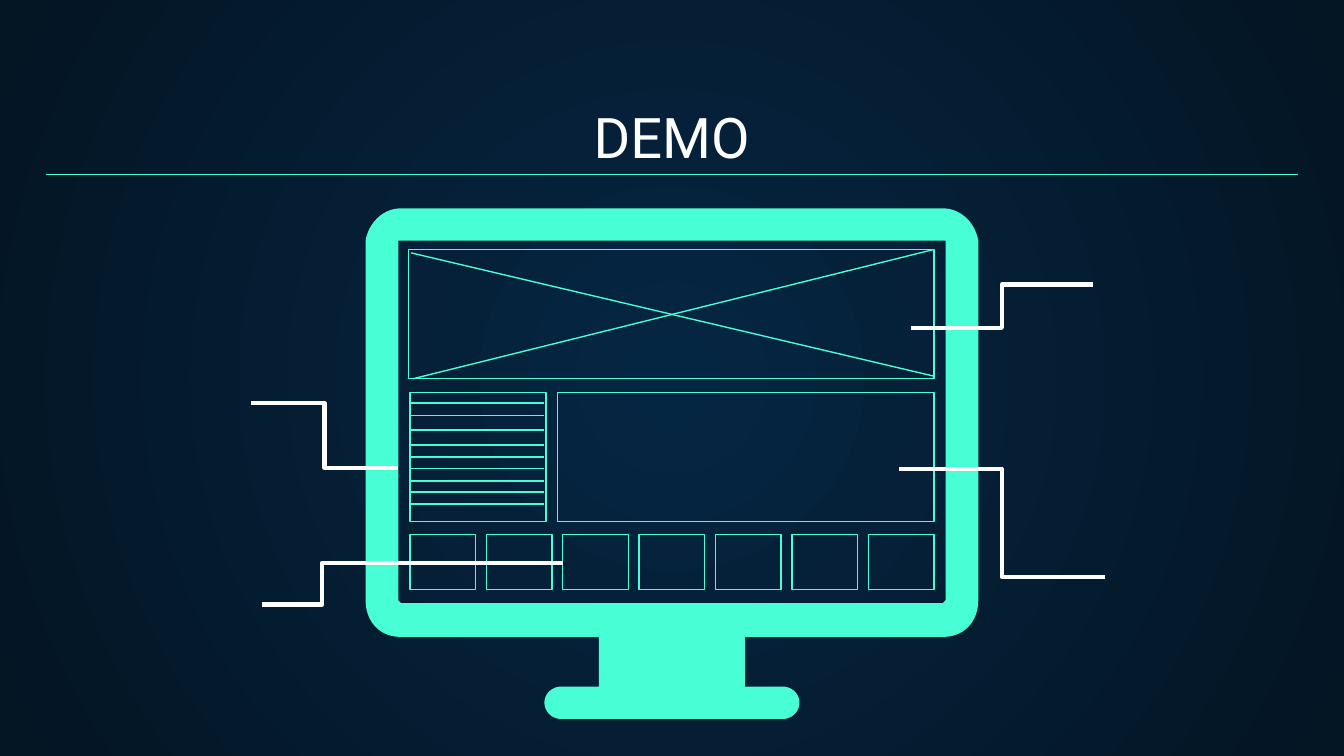
from dataclasses import dataclass

from lxml.etree import SubElement
from pptx import Presentation
from pptx.dml.color import RGBColor
from pptx.enum.shapes import MSO_CONNECTOR, MSO_SHAPE
from pptx.enum.text import MSO_ANCHOR, PP_ALIGN
from pptx.oxml.ns import qn
from pptx.util import Cm, Pt

COLORS = {"mint": "48FFD5", "white": "FFFFFF", "center": "052643", "edge": "041523"}
MIDDLE = 12.7
Point = tuple[float, float]


@dataclass(frozen=True)
class Panel:
    left: float
    top: float
    width: float
    height: float


@dataclass(frozen=True)
class Stroke:
    begin: Point
    end: Point
    color: str = "mint"
    weight: float = 0.75
    bend: float | None = None


def color_of(name: str) -> RGBColor:
    return RGBColor.from_string(COLORS[name])


def paint_background(page) -> None:
    fill = page.background.fill
    fill.gradient()
    for stop, name in zip(fill.gradient_stops, ("center", "edge")):
        stop.color.rgb = color_of(name)
    gradient = page.element.find(".//" + qn("a:gradFill"))
    gradient.remove(gradient.find(qn("a:lin")))
    circle = SubElement(gradient, qn("a:path"), {"path": "circle"})
    sides = {side: "50000" for side in "ltrb"}
    SubElement(circle, qn("a:fillToRect"), sides)


def draw_title(page, text: str) -> None:
    box = page.shapes.add_textbox(Cm(0.86), Cm(1.78), Cm(23.67), Cm(1.68))
    frame = box.text_frame
    frame.word_wrap = True
    frame.vertical_anchor = MSO_ANCHOR.BOTTOM
    frame.margin_left = frame.margin_right = Cm(0.25)
    frame.margin_top = frame.margin_bottom = Cm(0.25)
    frame.text = text
    para = frame.paragraphs[0]
    para.alignment = PP_ALIGN.CENTER
    span = para.runs[0]
    span.font.name = "Roboto"
    span.font.size = Pt(30)
    span.font.color.rgb = color_of("white")


def curve(start: Point, first: Point, second: Point, end: Point) -> list[Point]:
    steps = 12
    points = []
    for step in range(steps + 1):
        t = step / steps
        weights = ((1 - t) ** 3, 3 * t * (1 - t) ** 2, 3 * t**2 * (1 - t), t**3)
        controls = (start, first, second, end)
        points.append(tuple(sum(w * c[axis] for w, c in zip(weights, controls)) for axis in (0, 1)))
    return points


def mirrored(half: list[Point]) -> list[tuple[Cm, Cm]]:
    right = [(Cm(MIDDLE + x), Cm(y)) for x, y in half]
    left = [(Cm(MIDDLE - x), Cm(y)) for x, y in reversed(half)]
    return right + left


def draw_monitor(page) -> None:
    outline = mirrored(
        curve((5.16, 3.94), (5.49, 3.96), (5.74, 4.24), (5.79, 4.55))
        + curve((5.79, 11.35), (5.79, 11.73), (5.54, 12.04), (5.13, 12.04))
        + [(1.38, 12.04), (1.38, 12.98)]
        + curve((2.1, 12.98), (2.27, 12.98), (2.41, 13.12), (2.41, 13.28))
        + curve((2.41, 13.28), (2.41, 13.45), (2.27, 13.59), (2.1, 13.59))
    )
    screen = mirrored([(5.17, 4.55), (5.17, 11.35), (5.12, 11.4)])
    builder = page.shapes.build_freeform(*outline[0])
    builder.add_line_segments(outline[1:], close=True)
    builder.move_to(*screen[0])
    builder.add_line_segments(screen[1:], close=True)
    monitor = builder.convert_to_shape()
    monitor.shadow.inherit = False
    monitor.fill.solid()
    monitor.fill.fore_color.rgb = color_of("mint")
    monitor.line.fill.background()


def draw_panel(page, panel: Panel) -> None:
    shape = page.shapes.add_shape(
        MSO_SHAPE.RECTANGLE, Cm(panel.left), Cm(panel.top), Cm(panel.width), Cm(panel.height)
    )
    shape.shadow.inherit = False
    shape.fill.background()
    shape.line.color.rgb = color_of("mint")
    shape.line.width = Pt(0.75)


def draw_stroke(page, stroke: Stroke) -> None:
    kind = MSO_CONNECTOR.STRAIGHT if stroke.bend is None else MSO_CONNECTOR.ELBOW
    ends = [Cm(value) for value in stroke.begin + stroke.end]
    connector = page.shapes.add_connector(kind, *ends)
    connector.line.color.rgb = color_of(stroke.color)
    connector.line.width = Pt(stroke.weight)
    properties = connector.element.spPr
    SubElement(properties, qn("a:effectLst"))
    if stroke.bend is not None:
        guides = properties.find(qn("a:prstGeom")).get_or_add_avLst()
        formula = f"val {round(stroke.bend * 100000)}"
        SubElement(guides, qn("a:gd"), {"name": "adj1", "fmla": formula})


def callout(begin: Point, end: Point, bend: float = 0.5) -> Stroke:
    return Stroke(begin, end, "white", 2.25, bend)


banner = Panel(7.72, 4.72, 9.93, 2.44)
menu = Panel(7.75, 7.42, 2.57, 2.44)
content = Panel(10.54, 7.42, 7.11, 2.44)
tile_count, tile_width = 7, 1.24
tile_pitch = (content.left + content.width - menu.left - tile_width) / (tile_count - 1)
tiles = [Panel(menu.left + i * tile_pitch, 10.11, tile_width, 1.04) for i in range(tile_count)]

diagonals = [Stroke((7.77, 4.78), (17.65, 7.11)), Stroke((7.8, 7.16), (17.63, 4.72))]
menu_rows = (7.62, 7.85, 8.13, 8.41, 8.64, 8.86, 9.09, 9.3, 9.53)
menu_lines = [Stroke((menu.left, y), (menu.left + 2.54, y)) for y in menu_rows]
callouts = [
    callout((4.75, 7.62), (7.52, 8.84)),
    callout((4.95, 11.43), (10.64, 10.64), 0.2),
    callout((17.22, 6.2), (20.65, 5.38)),
    callout((16.99, 8.86), (20.88, 10.9)),
]
title_rule = Stroke((0.86, 3.3), (24.54, 3.3))

deck = Presentation()
deck.slide_width, deck.slide_height = Cm(25.4), Cm(14.29)
page = deck.slides.add_slide(deck.slide_layouts[6])
paint_background(page)
draw_title(page, "DEMO")
draw_monitor(page)
for panel in [banner, menu, content, *tiles]:
    draw_panel(page, panel)
for stroke in [*diagonals, *menu_lines, *callouts, title_rule]:
    draw_stroke(page, stroke)
deck.save("out.pptx")
